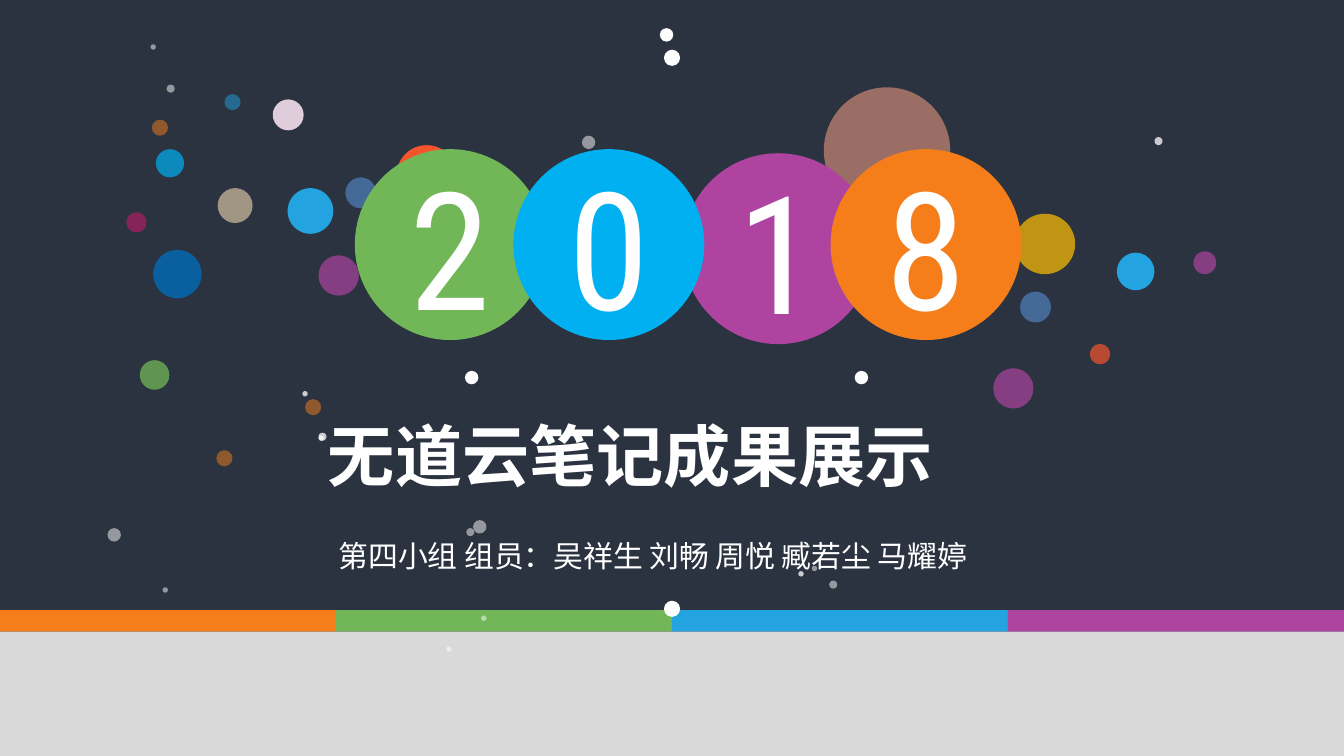
from pptx import Presentation, util as u
from pptx.dml import color
from pptx.enum import shapes, text
from pptx.oxml import ns
from lxml import etree

PX = u.Inches(1) // 100  # one px is a hundredth of an inch
WIDTH, HEIGHT = 1000, 563

NAVY, GREY, WHITE = "2B3340", "D9D9D9", "FFFFFF"
ORANGE, GREEN, BLUE, PURPLE = "F57E1B", "71B657", "23A3DF", "AE43A0"
SKY, SLATE, RED, ROSE = "00B0F0", "4F81BD", "F4552B", "AA1E65"
CJK, DIGIT = "Noto Sans CJK SC", "Roboto Condensed"

# Bubbles: left, top, diameter, colour, opacity in percent
BUBBLES = [
    (491, 21, 10, WHITE, 100), (636, 276, 10, WHITE, 100),
    (346, 276, 10, WHITE, 100), (295, 108, 45, RED, 100),
    (257, 132, 23, SLATE, 70), (237, 190, 30, PURPLE, 70),
    (214, 140, 34, BLUE, 100), (162, 140, 26, "D4BFA0", 70),
    (203, 74, 23, "DFCDDB", 100), (116, 111, 21, SKY, 70),
    (94, 158, 15, ROSE, 70), (613, 65, 94, "FEA384", 53),
    (755, 159, 45, "FFC000", 70), (759, 217, 23, SLATE, 70),
    (739, 274, 30, PURPLE, 70), (811, 256, 15, RED, 70),
    (888, 187, 17, PURPLE, 70), (831, 188, 28, BLUE, 100),
    (494, 37, 12, WHITE, 100), (494, 447, 12, WHITE, 100),
    (617, 432, 6, WHITE, 50), (114, 186, 36, "0070C0", 75),
    (237, 324, 4, WHITE, 75), (161, 335, 12, ORANGE, 50),
    (352, 387, 10, WHITE, 50), (104, 268, 22, GREEN, 75),
    (358, 458, 4, WHITE, 50), (121, 437, 4, WHITE, 50),
    (237, 322, 6, WHITE, 75), (347, 393, 6, WHITE, 50),
    (225, 291, 4, WHITE, 75), (227, 297, 12, ORANGE, 50),
    (80, 393, 10, WHITE, 50), (332, 481, 4, WHITE, 50),
    (594, 425, 4, WHITE, 75), (604, 421, 4, WHITE, 50),
    (124, 63, 6, WHITE, 50), (859, 102, 6, WHITE, 75),
    (112, 33, 4, WHITE, 50), (167, 70, 12, BLUE, 50),
    (433, 101, 10, WHITE, 50), (113, 89, 12, ORANGE, 50),
]

# Year circles, back to front: digit, left, top, colour
YEAR = [("1", 244, 3, PURPLE), ("2", 0, 0, GREEN),
        ("0", 118, 0, SKY), ("8", 354, 0, ORANGE)]


def emu(box):
    return [n * PX for n in box]


def paint(fill, hex_color, opacity=100):
    fill.solid()
    fill.fore_color.rgb = color.RGBColor.from_string(hex_color)
    if opacity < 100:
        tint = fill._xPr.find(".//" + ns.qn("a:srgbClr"))
        etree.SubElement(tint, ns.qn("a:alpha"), val=str(opacity * 1000))


def add_filled(parent, kind, box, hex_color, opacity=100):
    shape = parent.add_shape(kind, *emu(box))
    shape.shadow.inherit = False
    paint(shape.fill, hex_color, opacity)
    shape.line.fill.background()
    return shape


def write(frame, words, size, font=CJK, bold=False, hex_color=WHITE,
          align=text.PP_ALIGN.LEFT):
    para = frame.paragraphs[0]
    para.alignment = align
    span = para.add_run()
    span.text = words
    span.font.size = u.Pt(size)
    span.font.bold = bold
    span.font.name = font
    paint(span.font.fill, hex_color)
    latin = span.font._element.find(ns.qn("a:latin"))
    latin.addnext(etree.Element(ns.qn("a:ea"), typeface=font))


def add_label(page, box, words, size, margins, wrap, **style):
    frame = page.shapes.add_textbox(*emu(box)).text_frame
    (frame.margin_left, frame.margin_top,
     frame.margin_right, frame.margin_bottom) = emu(margins)
    frame.word_wrap = wrap
    frame.auto_size = text.MSO_AUTO_SIZE.SHAPE_TO_FIT_TEXT
    write(frame, words, size, **style)


def add_headings(page, box):
    left, top, width, height = box
    add_label(page, (left + 74, top + 90, 501, height - 90),
              "第四小组 组员：吴祥生 刘畅 周悦 臧若尘 马耀婷", 16,
              (9, 5, 9, 5), False)
    # The wide left margin indents the title
    add_label(page, (left, top, width, 68), "无道云笔记成果展示", 36,
              (75, 3, 7, 3), True, bold=True)


def add_footer(page, box):
    left, top, width, height = box
    stripe, colors = 16, (ORANGE, GREEN, BLUE, PURPLE)
    step = width // len(colors)
    group = page.shapes.add_group_shape()
    for i, hex_color in enumerate(colors):
        add_filled(group.shapes, shapes.MSO_SHAPE.RECTANGLE,
                   (left + i * step, top, step, stripe), hex_color)
    add_filled(page.shapes, shapes.MSO_SHAPE.RECTANGLE,
               (left, top + stripe, width, height - stripe), GREY)


def add_bubbles(page, box):
    for x, y, size, hex_color, opacity in BUBBLES:
        add_filled(page.shapes, shapes.MSO_SHAPE.OVAL,
                   (box[0] + x, box[1] + y, size, size), hex_color, opacity)


def add_year(page, box):
    left, top, width, size = box
    for digit, x, y, hex_color in YEAR:
        circle = add_filled(page.shapes, shapes.MSO_SHAPE.OVAL,
                            (left + x, top + y, size, size), hex_color)
        frame = circle.text_frame
        frame.vertical_anchor = text.MSO_ANCHOR.MIDDLE
        write(frame, digit, 88, font=DIGIT, align=text.PP_ALIGN.CENTER)


def main():
    deck = Presentation()
    deck.slide_width = WIDTH * PX
    deck.slide_height = deck.slide_width * 9 // 16  # widescreen
    page = deck.slides.add_slide(deck.slide_layouts[6])
    paint(page.background.fill, NAVY)
    add_headings(page, (169, 305, 668, 126))
    add_footer(page, (0, 454, WIDTH, HEIGHT - 454))
    add_bubbles(page, (0, 0, WIDTH, HEIGHT))
    add_year(page, (264, 111, 496, 142))
    deck.save("out.pptx")


if __name__ == "__main__":
    main()
